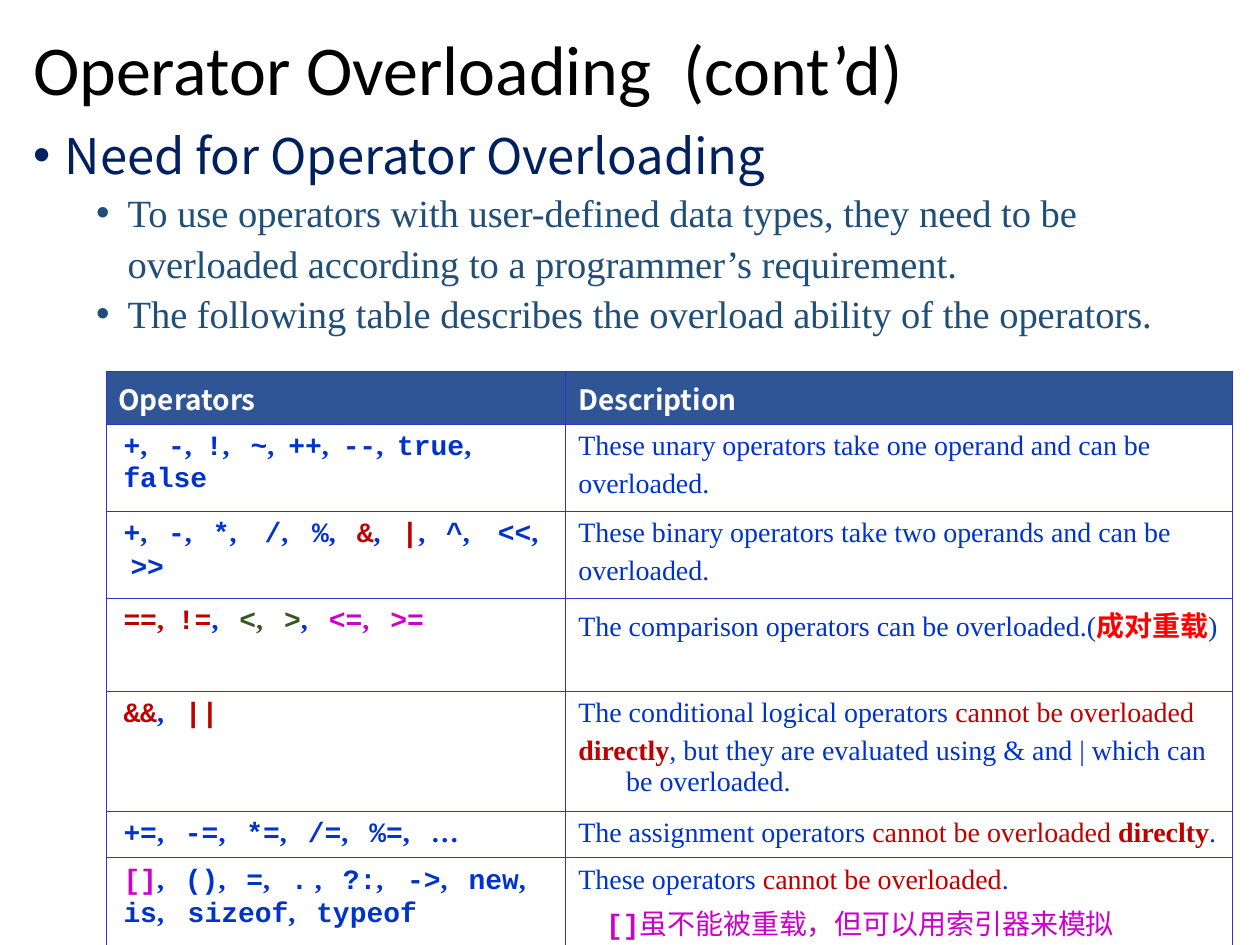
"""Build the slide on operator overloading with its table of operators."""
from lxml.etree import SubElement
from pptx import Presentation
from pptx.dml.color import RGBColor
from pptx.enum.text import MSO_ANCHOR
from pptx.oxml.ns import qn
from pptx.util import Inches, Pt

SANS, SERIF, MONO = "Noto Sans CJK SC", "Times New Roman", "Courier New"
BLUE, RED, GREEN, PINK = "0033CC", "C00000", "385723", "CC00CC"
NAVY, STEEL = "002060", "1F4E79"

deck = Presentation()
deck.slide_width, deck.slide_height = Inches(10), Inches(7.5)
column, row = deck.slide_width / 100, deck.slide_height / 100
page = deck.slides.add_slide(deck.slide_layouts[6])


def add_span(para, text, font, size, color, bold=False):
    span = para.add_run()
    span.text = text
    span.font.name, span.font.size, span.font.bold = font, Pt(size), bold
    span.font.color.rgb = RGBColor.from_string(color)


def indent(para, margin, first, bullet_color=None):
    properties = para._p.get_or_add_pPr()
    properties.set("marL", str(int(margin * column)))
    properties.set("indent", str(int(first * column)))
    if bullet_color:
        color = SubElement(properties, qn("a:buClr"))
        SubElement(color, qn("a:srgbClr"), val=bullet_color)
        SubElement(properties, qn("a:buFont"), typeface="Arial")
        SubElement(properties, qn("a:buChar"), char="•")


left, width = int(1.65 * column), int(97.4 * column)
title = page.shapes.add_textbox(left, int(1.47 * row), width, int(12.53 * row)).text_frame
title.word_wrap, title.vertical_anchor = True, MSO_ANCHOR.MIDDLE
title.paragraphs[0].line_spacing = 0.9
add_span(title.paragraphs[0], "Operator Overloading  (cont’d)", "Calibri", 40, "000000")

body = page.shapes.add_textbox(left, int(12 * row), width, int(86 * row)).text_frame
body.word_wrap = True
points = [
    (0, "Need for Operator Overloading", SANS, 28, NAVY),
    (1, "To use operators with user-defined data types, they need to be "
        "overloaded according to a programmer’s requirement.", SERIF, 22, STEEL),
    (1, "The following table describes the overload ability of the operators.",
     SERIF, 22, STEEL),
]
for number, (level, text, font, size, color) in enumerate(points):
    para = body.add_paragraph() if number else body.paragraphs[0]
    para.level, para.line_spacing = level, 1.1
    indent(para, 2.5 + 5 * level, -2.5, color)
    add_span(para, text, font, size, color)

symbol_colors = {
    "&": RED, "|": RED, "==": RED, "!=": RED, "&&": RED, "||": RED,
    "<": GREEN, ">": GREEN, "<=": PINK, ">=": PINK, "[]": PINK,
}
tinted_commas = {"==", "<", "<="}
operators = [
    ["+", ",   ", "-", ",  ", "!", ",   ", "~", ",  ", "++", ",  ", "--", ",  ",
     "true", ",  ", "false"],
    ["+", ",   ", "-", ",   ", "*", ",    ", "/", ", ", " %", ",   ", "&", ",   ",
     "|", ",   ", "^", ",    ", "<<", ",    ", ">>"],
    ["==", ",  ", "!=", ",   ", "<", ",   ", ">", ",   ", "<=", ",   ", ">="],
    ["&&", ",   ", "||"],
    ["+=", ",   ", "-=", ",   ", "*=", ",   ", "/=", ",   ", "%=", ",   …"],
    ["[]", ",   ", "()", ",   ", "=", ",   ", ".", " ,   ", "?:", ", ", " ->", ",   ",
     "new", ",   ", "is", ", ", " sizeof", ",   ", "typeof"],
]
descriptions = [
    [[("These unary operators take one operand and can be", BLUE, False)],
     [("overloaded.", BLUE, False)]],
    [[("These binary operators take two operands and can be", BLUE, False)],
     [("overloaded.", BLUE, False)]],
    [[("The comparison operators can be overloaded.(", BLUE, False),
      ("成对重载", "FF0000", True), (")", BLUE, False)]],
    [[("The conditional logical operators ", BLUE, False),
      ("cannot be overloaded", RED, False)],
     [("directly", RED, True),
      (", but they are evaluated using & and | which can be overloaded.", BLUE, False)]],
    [[("The assignment operators ", BLUE, False), ("cannot be overloaded ", RED, False),
      ("direclty", RED, True), (".", BLUE, False)]],
    [[("These operators ", BLUE, False), ("cannot be overloaded", RED, False),
      (".", BLUE, False)],
     [("[]", PINK, True), ("虽不能被重载，但可以用索引器来模拟", PINK, False)]],
]

column_shares = [36.5, 52.9]
row_shares = [5.6, 8.67, 8.67, 9.85, 11.95, 4.87, 9.75]
table = page.shapes.add_table(
    len(row_shares), len(column_shares), int(8.4 * column), int(39.33 * row),
    int(sum(column_shares) * column), int(sum(row_shares) * row)).table
table.first_row = table.horz_banding = False
for table_column, share in zip(table.columns, column_shares):
    table_column.width = int(share * column)
for table_row, share in zip(table.rows, row_shares):
    table_row.height = int(share * row)

for cell in table.iter_cells():
    properties = cell._tc.get_or_add_tcPr()
    for side in ("a:lnL", "a:lnR", "a:lnT", "a:lnB"):
        border = SubElement(properties, qn(side), w=str(Pt(0.45)))
        fill = SubElement(border, qn("a:solidFill"))
        SubElement(fill, qn("a:srgbClr"), val="3333CC")
    cell.fill.background()

for cell, heading in zip(table.rows[0].cells, ["Operators", "Description"]):
    cell.fill.solid()
    cell.fill.fore_color.rgb = RGBColor.from_string("2F5597")
    para = cell.text_frame.paragraphs[0]
    indent(para, 3.8, -3.8)
    add_span(para, heading, SANS, 16, "FFFFFF", True)

for number, (symbols, paragraphs) in enumerate(zip(operators, descriptions), 1):
    para = table.cell(number, 0).text_frame.paragraphs[0]
    indent(para, 0.4, 0)
    for position, text in enumerate(symbols):
        if position % 2 == 0:
            font, color = MONO, symbol_colors.get(text, BLUE)
        else:
            font = SERIF
            color = color if symbols[position - 1] in tinted_commas else BLUE
        add_span(para, text, font, 16, color, True)

    frame = table.cell(number, 1).text_frame
    for order, spans in enumerate(paragraphs):
        para = frame.add_paragraph() if order else frame.paragraphs[0]
        para.space_before = Pt(4)
        indent(para, 3.8, -1.6 if spans[0][0] == "[]" else -3.8)
        for text, color, bold in spans:
            add_span(para, text, MONO if text == "[]" else SERIF, 16, color, bold)

deck.save("out.pptx")
